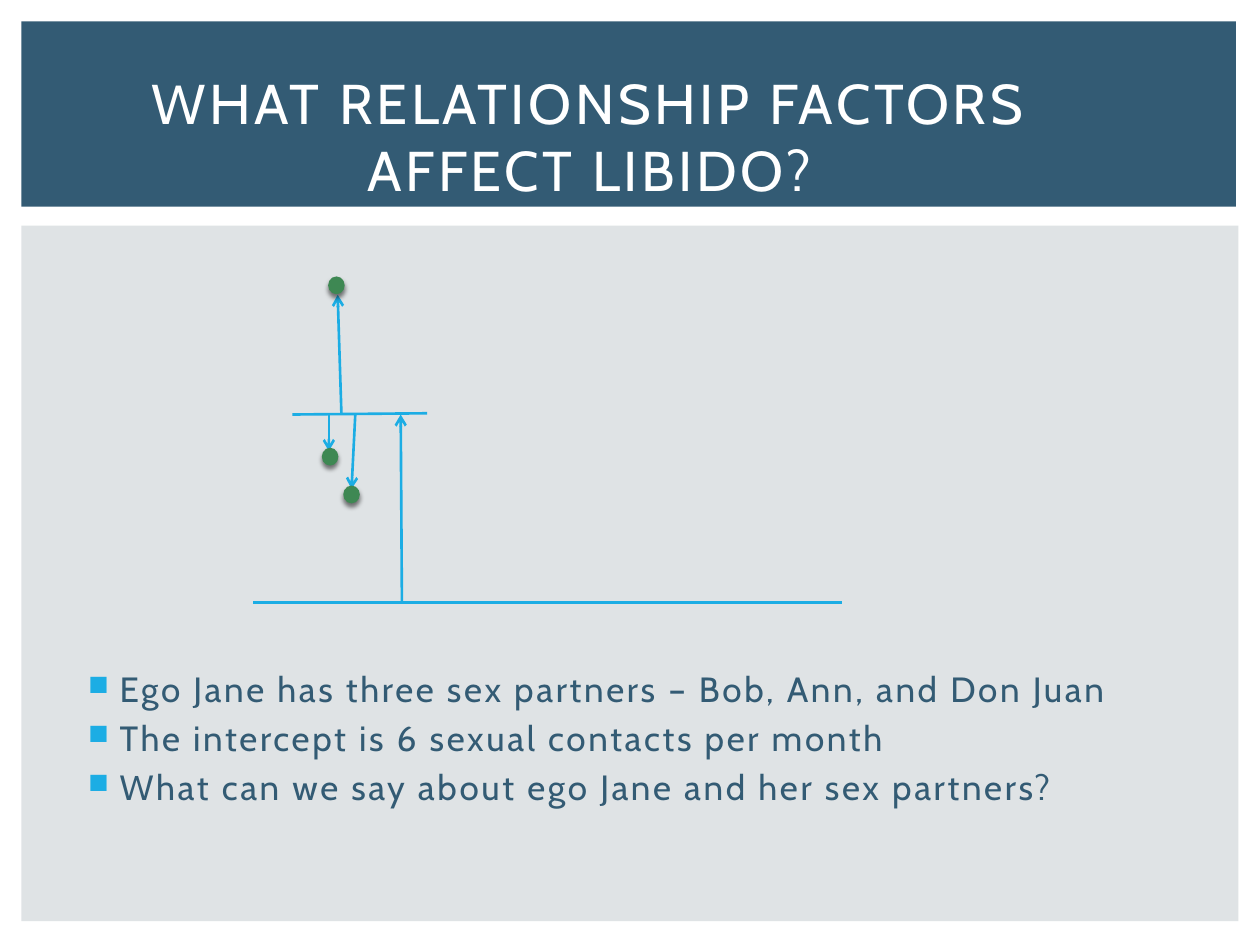
from pptx import Presentation
from pptx.dml.color import RGBColor
from pptx.enum.shapes import MSO_CONNECTOR as Link, MSO_SHAPE as Shape
from pptx.enum.text import MSO_ANCHOR as Anchor, PP_ALIGN as Align
from pptx.oxml import parse_xml
from pptx.oxml.ns import nsdecls, qn
from pptx.util import Inches, Pt

COLORS = {
    "panel": "DFE3E5",
    "navy": "335B74",
    "white": "FFFFFF",
    "blue": "1CADE4",
    "green": "3E8853",
    "black": "000000",
}
FONT = "Cabin"

# Heights of the two level lines, and the points with their arrows, in inches
MEAN = 3.29
BASE = 4.78
DOT_W, DOT_H = 0.12, 0.13
PARTNERS = [
    # arrow start, arrow end, left and top of the dot
    ((2.71, MEAN), (2.68, 2.34), (2.61, 2.2)),
    ((2.82, MEAN), (2.79, 3.88), (2.73, 3.86)),
    ((2.61, MEAN), (2.61, 3.58), (2.56, 3.56)),
]
POINTS = [
    "Ego Jane has three sex partners – Bob, Ann, and Don Juan",
    "The intercept is 6 sexual contacts per month",
    "What can we say about ego Jane and her sex partners?",
]


def rgb(name):
    return RGBColor.from_string(COLORS[name])


def add_node(parent, tag, body="", **attrs):
    """Append one element of the drawing namespace."""
    text = "".join(f' {key}="{val}"' for key, val in attrs.items())
    parent.append(parse_xml(f"<a:{tag} {nsdecls('a')}{text}>{body}</a:{tag}>"))


def color_xml(name, body=""):
    return f'<a:srgbClr val="{COLORS[name]}">{body}</a:srgbClr>'


def add_block(slide, kind, left, top, width, height, color):
    block = slide.shapes.add_shape(
        kind, Inches(left), Inches(top), Inches(width), Inches(height))
    block.shadow.inherit = False
    block.fill.solid()
    block.fill.fore_color.rgb = rgb(color)
    block.line.fill.background()
    return block


def add_dot(slide, left, top):
    """Add a data point with a soft shadow below it."""
    dot = add_block(slide, Shape.OVAL, left, top, DOT_W, DOT_H, "green")
    dot.line.color.rgb = rgb("green")
    dot.line.width = Pt(0.79)
    effects = dot.element.spPr.find(qn("a:effectLst"))
    add_node(effects, "outerShdw",
             color_xml("black", '<a:alpha val="50000"/>'),
             blurRad=Pt(2.5), dist=Pt(2), dir=90 * 60000, rotWithShape=0)


def add_line(slide, start, end, arrow=False):
    link = slide.shapes.add_connector(
        Link.STRAIGHT, *(Inches(n) for n in (*start, *end)))
    link.line.color.rgb = rgb("blue")
    link.line.width = Pt(1.5)
    props = link.element.spPr
    if arrow:
        add_node(props.find(qn("a:ln")), "tailEnd", type="arrow")
    add_node(props, "effectLst")


def add_bullet(para, sign):
    props = para._p.get_or_add_pPr()
    props.set("marL", str(Inches(0.3)))
    props.set("indent", str(Inches(-0.25)))
    add_node(props, "buClr", color_xml("blue"))
    add_node(props, "buSzPct", val=80000)
    add_node(props, "buChar", char=sign)


def add_text(slide, lines, left, top, width, height, *, size, color, track,
             align=Align.LEFT, anchor=Anchor.TOP, bullet=None, gap=0):
    """Add a text box, one paragraph a line; track is letter spacing in points."""
    box = slide.shapes.add_textbox(
        Inches(left), Inches(top), Inches(width), Inches(height))
    frame = box.text_frame
    frame.word_wrap = True
    frame.vertical_anchor = anchor
    for i, words in enumerate(lines):
        para = frame.add_paragraph() if i else frame.paragraphs[0]
        para.alignment = align
        if i:
            para.space_before = Pt(gap)
        if bullet:
            add_bullet(para, bullet)
        run = para.add_run()
        run.text = words
        run.font.name = FONT
        run.font.size = Pt(size)
        run.font.color.rgb = rgb(color)
        run._r.get_or_add_rPr().set("spc", str(int(track * 100)))


def add_plot(slide):
    """Draw the baseline, the mean, and each partner's distance from it."""
    add_line(slide, (2.32, MEAN), (3.39, 3.28))
    add_line(slide, (2.01, BASE), (6.68, BASE))
    add_line(slide, (3.19, BASE), (3.18, MEAN), arrow=True)
    for start, end, _ in PARTNERS:
        add_line(slide, start, end, arrow=True)
    for _, _, corner in PARTNERS:
        add_dot(slide, *corner)


def main():
    deck = Presentation()
    deck.slide_width, deck.slide_height = Inches(10), Inches(7.5)
    slide = deck.slides.add_slide(deck.slide_layouts[6])
    add_block(slide, Shape.RECTANGLE, 0.17, 1.79, 9.66, 5.52, "panel")
    add_block(slide, Shape.RECTANGLE, 0.17, 0.17, 9.64, 1.47, "navy")
    add_text(slide, ["WHAT RELATIONSHIP FACTORS AFFECT LIBIDO?"],
             0.55, 0.53, 8.26, 1.09, size=32, color="white", track=2,
             align=Align.CENTER, anchor=Anchor.MIDDLE)
    add_text(slide, POINTS, 0.55, 5.25, 9.12, 2.02, size=20, color="navy",
             track=1.5, bullet="■", gap=4)
    add_plot(slide)
    deck.save("out.pptx")


if __name__ == "__main__":
    main()
